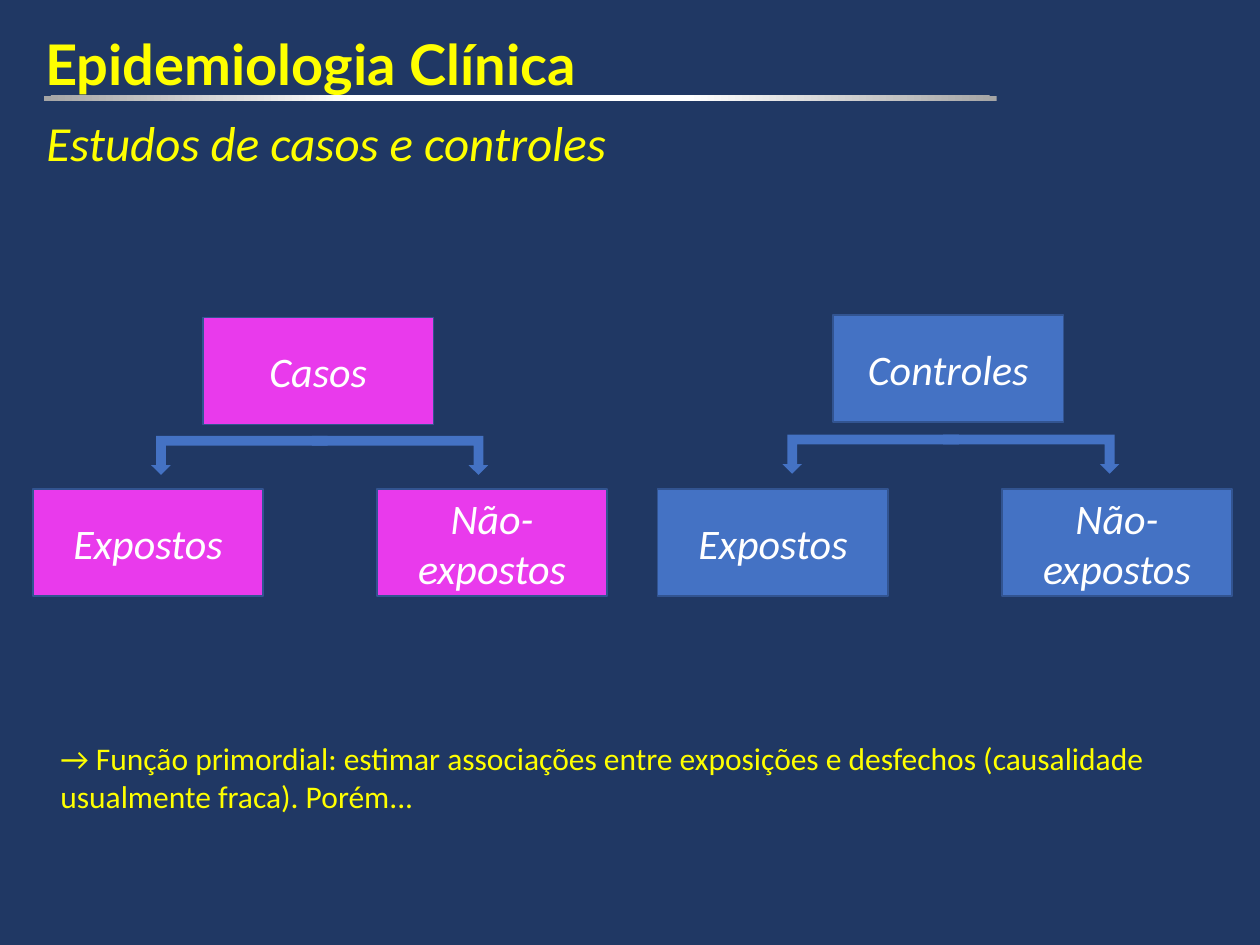
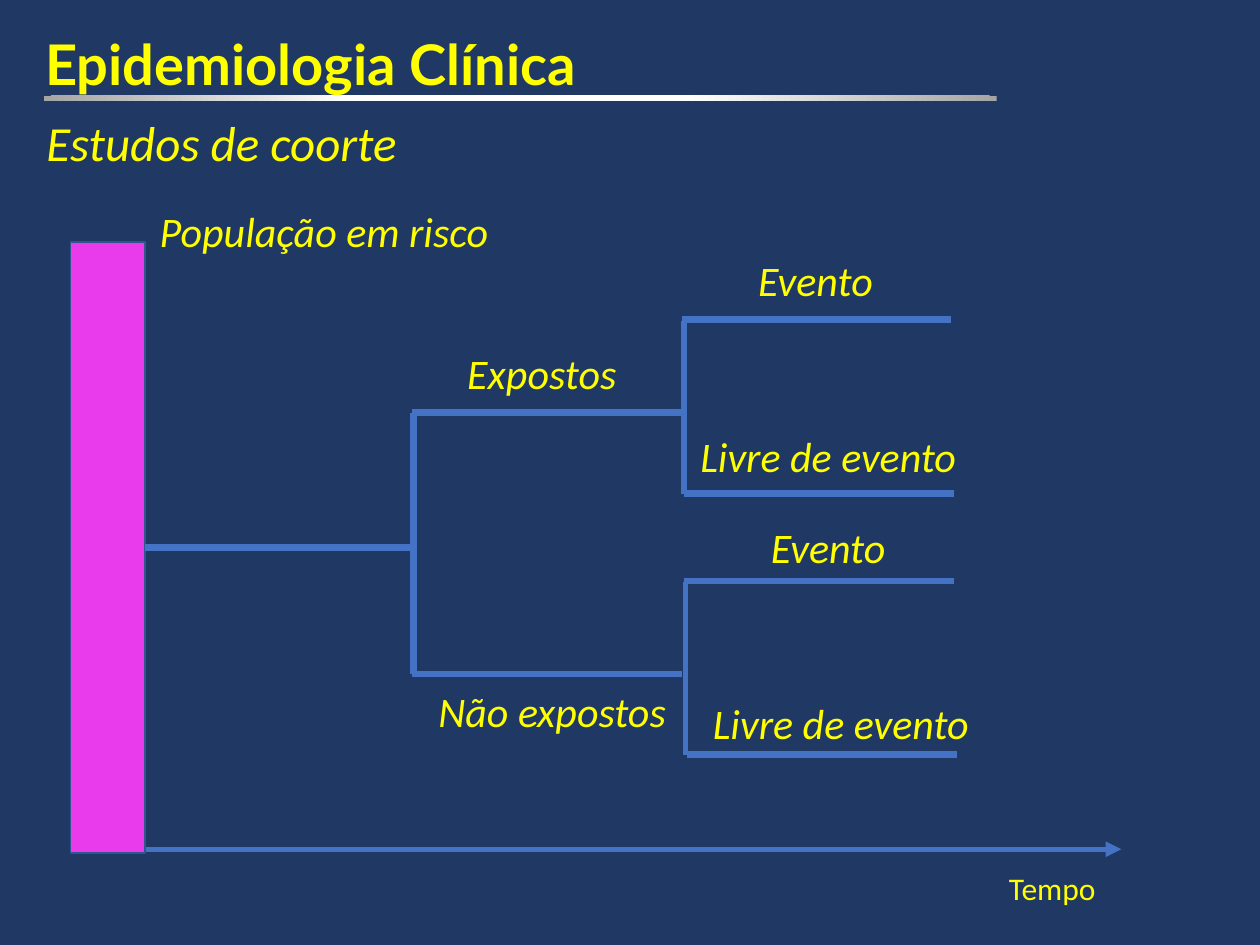
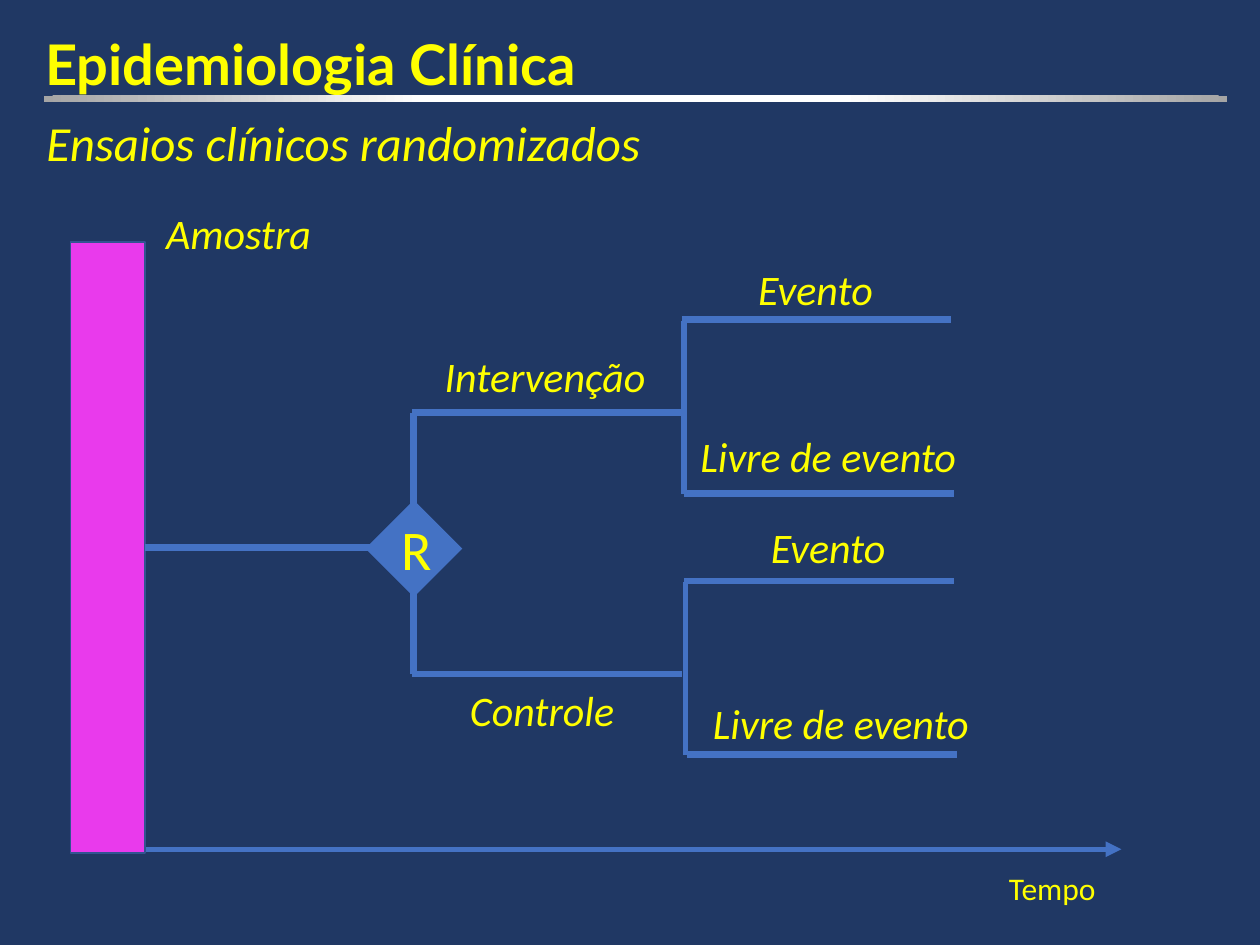
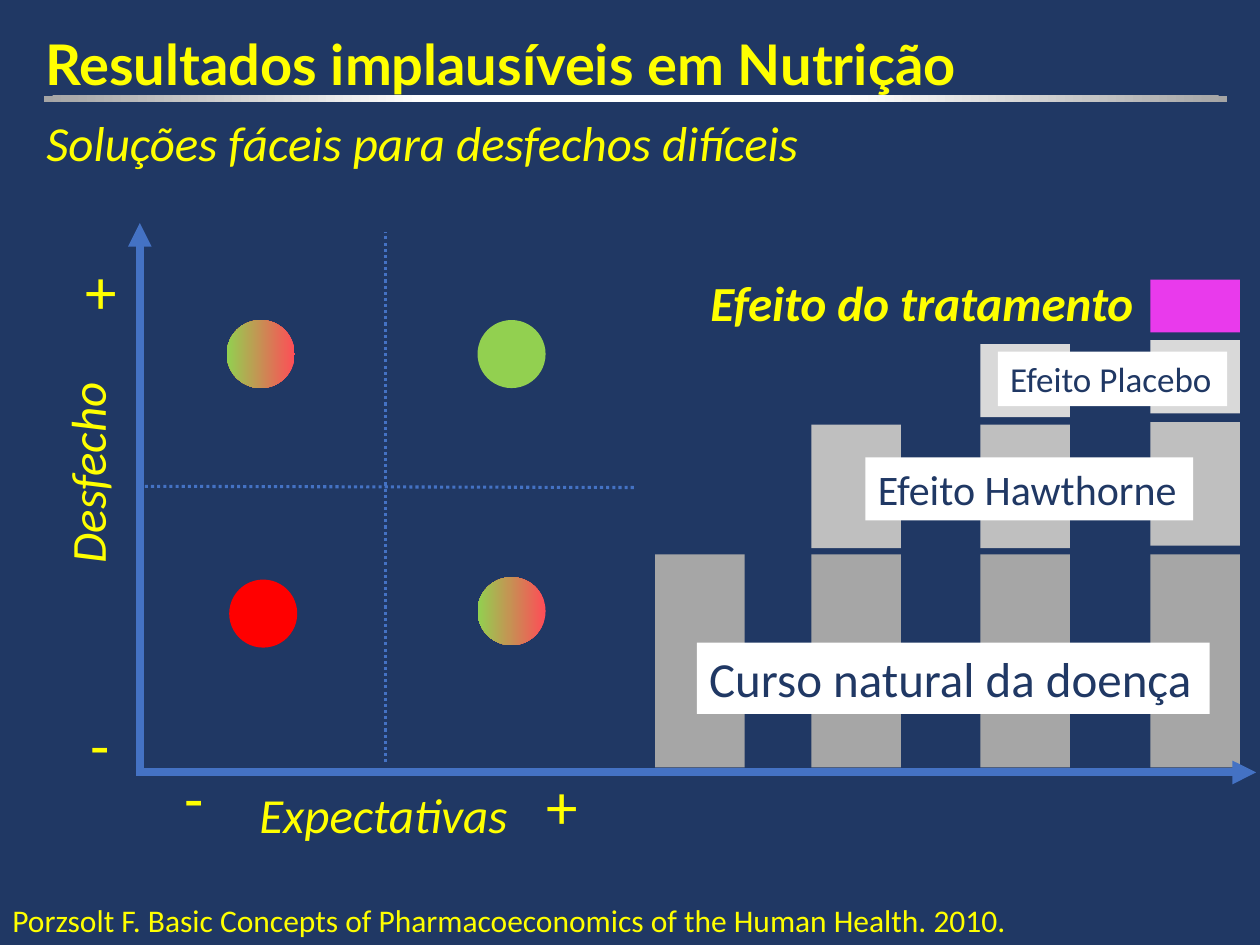
from lxml import etree
from pptx import Presentation
from pptx.dml.color import RGBColor
from pptx.enum import dml, shapes, text
from pptx.oxml import ns
from pptx.util import Pt

COLOURS = {
    "navy": "203864", "yellow": "FFFF00", "white": "FFFFFF", "silver": "A5A5A5",
    "magenta": "E93AEC", "blue": "4472C4", "outline": "325491", "red": "FF0000",
    "coral": "FE4D57", "green": "92D050", "natural": "A6A6A6",
    "hawthorne": "BFBFBF", "placebo": "D9D9D9",
}
RECTANGLE = shapes.MSO_SHAPE.RECTANGLE

HEADERS = [
    ("Epidemiologia Clínica", "Estudos de casos e controles", 337.7, (544.3, 2.9)),
    ("Epidemiologia Clínica", "Estudos de coorte", 216.7, (544.3, 2.9)),
    ("Epidemiologia Clínica", "Ensaios clínicos randomizados", 357.1, (676.1, 3.6)),
    ("Resultados implausíveis em Nutrição", "Soluções fáceis para desfechos difíceis",
     448.6, (676.1, 3.6)),
]

GROUPS = [
    {"name": "Casos", "colour": "magenta", "head": (115.9, 181.4),
     "children_left": 18.7, "arrows": (86.4, 249.1)},
    {"name": "Controles", "colour": "blue", "head": (475.9, 180),
     "children_left": 375.8, "arrows": (447.1, 248.4)},
]
EXPOSURES = ["Expostos", "Não-expostos"]
GROUP_BOX = (131.8, 61.2)
CHILDREN_TOP, CHILDREN_STEP = 279.4, 196.6
ARROW_BOX, ARROW_STEP = (100.8, 22.3), 91.8
PURPOSE = ("→ Função primordial: estimar associações entre exposições e desfechos "
           "(causalidade usualmente fraca). Porém...")

BRANCH_LENGTH = 154.2
BRANCH_STARTS = [(235.4, 235.8), (235.4, 385.2), (389.5, 182.5),
                 (391, 281.9), (391, 332), (392.4, 431.3)]
FORKS = [(236.2, 385.2, 236.2, 3.75), (391, 282.2, 183.6, 3.75), (391.7, 431.3, 332.6, 3)]
OUTCOMES = [("Livre de evento", 393.1, 242.6, 162.7), ("Evento", 433.4, 294.5, 80.6),
            ("Livre de evento", 400.3, 395.3, 162.7)]
COHORT_LABELS = [("População em risco", 84.2, 113.8, 204.5), ("Expostos", 259.9, 195.1, 101.5),
                 ("Não expostos", 243.4, 388.1, 146.2), ("Evento", 426.2, 141.8, 80.6)]
TRIAL_LABELS = [("Amostra", 87.8, 115.2, 97.2), ("Intervenção", 247, 196.6, 131),
                ("Controle", 261.4, 387.4, 97.9), ("Evento", 426.2, 146.9, 80.6)]

COLUMNS = [374.4, 463.7, 560.2, 657.4]
COLUMN_WIDTH = 51.1
TIERS = [
    ("natural", 121.7, (316.8, 316.8, 316.8, 316.8)),
    ("hawthorne", 70.6, (242.6, 242.6, 241.2)),
    ("placebo", 41.8, (196.6, 194.4)),
    ("magenta", 30.2, (159.8,)),
]
EFFECTS = [("Curso natural da doença", 398.2, 367.2, 293, 28),
           ("Efeito Hawthorne", 494.6, 261.4, 187.2, 24),
           ("Efeito Placebo", 570.2, 200.9, 131, 20)]
AXES = [((79.9, 441.4), (79.9, 127.4)), ((77.8, 441.4), (717.8, 441.4))]
DIVIDERS = [((220.3, 435.6), (220.3, 132.5)), ((362.2, 278.6), (82.8, 277.9))]
DOT_SIZE = 38.9
DOTS = [(272.9, 182.9, "green"), (272.9, 329.8, None),
        (131, 331.2, "red"), (129.6, 182.9, None)]
SIGNS = [("+", 41.8, 140.4, 32.4), ("-", 44.6, 399.6, 25.9),
         ("-", 98.6, 429.8, 25.9), ("+", 305.3, 434.2, 32.4)]
CITATION = "Porzsolt F. Basic Concepts of Pharmacoeconomics of the Human Health. 2010."


def rgb(name):
    return RGBColor.from_string(COLOURS[name])


def place(shape, left, top, width, height):
    for name, value in zip(("left", "top", "width", "height"), (left, top, width, height)):
        setattr(shape, name, Pt(value))


def write(shape, words, size, colour="yellow", align=text.PP_ALIGN.LEFT, **formats):
    paragraph = shape.text_frame.paragraphs[0]
    paragraph.alignment = align
    run = paragraph.add_run()
    run.text = words
    for name, value in {"name": "Calibri", "size": Pt(size), **formats}.items():
        setattr(run.font, name, value)
    run.font.color.rgb = rgb(colour)


def add_label(slide, words, left, top, width, size, lines=1, fill=None, colour="yellow", **formats):
    height = size * 1.2 * lines + 7.2
    label = slide.shapes.add_textbox(Pt(left), Pt(top), Pt(width), Pt(height))
    label.text_frame.word_wrap = lines > 1
    label.text_frame.auto_size = text.MSO_AUTO_SIZE.SHAPE_TO_FIT_TEXT
    if fill:
        label.fill.solid()
        label.fill.fore_color.rgb = rgb(fill)
    write(label, words, size, colour, **formats)
    return label


def add_block(parent, kind, left, top, width, height, fill=None, outline=None):
    shape = parent.add_shape(kind, Pt(left), Pt(top), Pt(width), Pt(height))
    shape.shadow.inherit = False
    if fill:
        shape.fill.solid()
        shape.fill.fore_color.rgb = rgb(fill)
    if outline:
        shape.line.color.rgb = rgb(outline)
        shape.line.width = Pt(1)
    else:
        shape.line.fill.background()
    return shape


def fill_gradient(shape, stops, direction):
    shape.fill.gradient()
    gradient = shape.element.spPr.find(ns.qn("a:gradFill"))
    for child in list(gradient):
        gradient.remove(child)
    stop_list = etree.SubElement(gradient, ns.qn("a:gsLst"))
    for position, colour in stops:
        stop = etree.SubElement(stop_list, ns.qn("a:gs"), pos=str(position * 1000))
        etree.SubElement(stop, ns.qn("a:srgbClr"), val=COLOURS[colour])
    if direction == "circle":
        route = etree.SubElement(gradient, ns.qn("a:path"), path="circle")
        etree.SubElement(route, ns.qn("a:fillToRect"), l="50000", t="-80000", r="50000", b="180000")
    else:
        etree.SubElement(gradient, ns.qn("a:lin"), ang=str(direction * 60000), scaled="0")


def add_line(slide, start, end, width, arrow=False, dash=None):
    line = slide.shapes.add_connector(shapes.MSO_CONNECTOR.STRAIGHT, *map(Pt, (*start, *end)))
    line.line.color.rgb = rgb("blue")
    line.line.width = Pt(width)
    if dash:
        line.line.dash_style = dash
    properties = line.element.spPr
    if arrow:
        etree.SubElement(properties.find(ns.qn("a:ln")), ns.qn("a:tailEnd"), type="triangle")
    etree.SubElement(properties, ns.qn("a:effectLst"))
    return line


def add_header_slide(presentation, title_words, subtitle, subtitle_width, rule_size):
    slide = presentation.slides.add_slide(presentation.slide_layouts[5])
    title = slide.shapes.title
    place(title, 18.7, 13, 700.6, 102.2)
    title.text_frame.vertical_anchor = text.MSO_ANCHOR.TOP
    title.text_frame.auto_size = text.MSO_AUTO_SIZE.NONE
    write(title, title_words, 32, name="Lato", bold=True)
    rule = add_block(slide.shapes, RECTANGLE, 25.2, 54.7, *rule_size)
    fill_gradient(rule, [(0, "white"), (35, "white"), (100, "silver")], "circle")
    add_label(slide, subtitle, 19.4, 60.5, subtitle_width, 28, italic=True)
    return slide


def add_group_box(slide, words, left, top, colour):
    box = add_block(slide.shapes, RECTANGLE, left, top, *GROUP_BOX, colour, "outline")
    write(box, words, 24, "white", text.PP_ALIGN.CENTER, italic=True)


def draw_case_control(slide):
    for group in GROUPS:
        add_group_box(slide, group["name"], *group["head"], group["colour"])
        arrow_left, arrow_top = group["arrows"]
        for index, exposure in enumerate(EXPOSURES):
            add_group_box(slide, exposure, group["children_left"] + index * CHILDREN_STEP,
                          CHILDREN_TOP, group["colour"])
            arrow = add_block(slide.shapes, shapes.MSO_SHAPE.BENT_UP_ARROW,
                              arrow_left + index * ARROW_STEP, arrow_top, *ARROW_BOX, "blue")
            arrow.rotation = 180
            if index:
                arrow.element.spPr.find(ns.qn("a:xfrm")).set("flipH", "1")
    add_label(slide, PURPOSE, 27.4, 419, 676.8, 18, lines=2)


def draw_follow_up(slide, labels):
    add_line(slide, (61.9, 485.3), (640.8, 485.3), 3, arrow=True)
    population = add_block(slide.shapes, RECTANGLE, 40.3, 138.2, 42.5, 349.2, "magenta", "outline")
    add_label(slide, "Tempo", 569.5, 493.2, 64.8, 18)
    trunk = add_line(slide, (82.8, 312.8), (236.2, 312.8), 3.75)
    trunk.begin_connect(population, 3)
    for left, bottom, top, width in FORKS:
        add_line(slide, (left, bottom), (left, top), width)
    for left, top in BRANCH_STARTS:
        add_line(slide, (left, top), (left + BRANCH_LENGTH, top), 3.75)
    for label in labels + OUTCOMES:
        add_label(slide, *label, 24, italic=True)


def draw_randomization(slide):
    diamond = add_block(slide.shapes, shapes.MSO_SHAPE.DIAMOND, 208.8, 285.8, 55.4, 55.4, "blue")
    write(diamond, "R", 32, align=text.PP_ALIGN.CENTER)


def draw_expectations(slide):
    add_label(slide, CITATION, 0, 511.2, 583.2, 18)
    stack = slide.shapes.add_group_shape()
    for colour, height, tops in TIERS:
        for left, top in zip(COLUMNS[-len(tops):], tops):
            add_block(stack.shapes, RECTANGLE, left, top, COLUMN_WIDTH, height, colour)
    for effect in EFFECTS:
        add_label(slide, *effect, fill="white", colour="navy")
    add_label(slide, "Efeito do tratamento", 398.9, 151.9, 258.5, 28, bold=True, italic=True)
    for start, end in AXES:
        add_line(slide, start, end, 4.5, arrow=True)
    for start, end in DIVIDERS:
        add_line(slide, start, end, 1.75, dash=dml.MSO_LINE.ROUND_DOT)
    add_label(slide, "Expectativas", 141.1, 445, 157.7, 28, italic=True)
    add_label(slide, "Desfecho", -10.1, 249.1, 118.8, 28, italic=True).rotation = 270
    for left, top, colour in DOTS:
        dot = add_block(slide.shapes, shapes.MSO_SHAPE.OVAL, left, top, DOT_SIZE, DOT_SIZE, colour)
        if not colour:
            fill_gradient(dot, [(0, "coral"), (100, "green")], 180)
    for sign in SIGNS:
        add_label(slide, *sign, 36)


def main():
    presentation = Presentation()
    presentation.slide_width, presentation.slide_height = Pt(720), Pt(540)
    background = presentation.slide_master.background.fill
    background.solid()
    background.fore_color.rgb = rgb("navy")
    case_control, cohort, trial, expectations = [
        add_header_slide(presentation, *header) for header in HEADERS]
    draw_case_control(case_control)
    draw_follow_up(cohort, COHORT_LABELS)
    draw_follow_up(trial, TRIAL_LABELS)
    draw_randomization(trial)
    draw_expectations(expectations)
    presentation.save("out.pptx")


if __name__ == "__main__":
    main()
